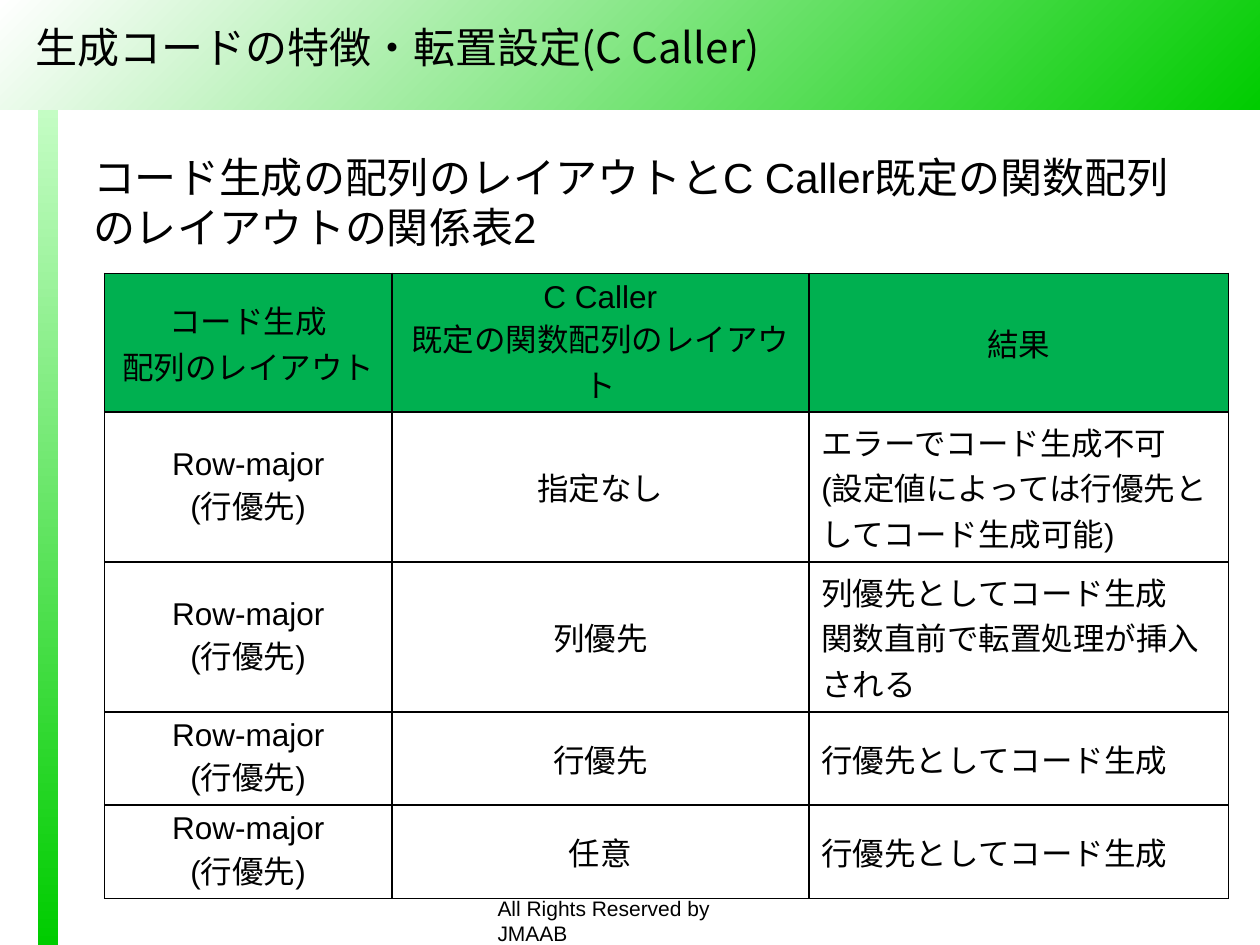
from lxml import etree
from pptx import Presentation
from pptx.dml.color import RGBColor
from pptx.enum.shapes import MSO_SHAPE
from pptx.enum.text import MSO_ANCHOR, PP_ALIGN
from pptx.oxml.ns import qn
from pptx.util import Inches, Pt

RECT = MSO_SHAPE.RECTANGLE
TOP, MIDDLE = MSO_ANCHOR.TOP, MSO_ANCHOR.MIDDLE
LEFT, CENTER = PP_ALIGN.LEFT, PP_ALIGN.CENTER
LATIN, CJK = "Arial", "Noto Sans CJK JP"
COLORS = {"text": "000000", "white": "FFFFFF", "pale": "CCFFCC",
          "green": "00CC00", "header": "00B050"}


def write(tf, text, size=18, font=LATIN, align=LEFT, anchor=TOP):
    """Fill a text frame, one paragraph per line of text."""
    tf.word_wrap = True
    tf.vertical_anchor = anchor
    for i, line in enumerate(text.split("\n")):
        p = tf.paragraphs[0] if i == 0 else tf.add_paragraph()
        p.alignment = align
        r = p.add_run()
        r.text = line
        r.font.size = Pt(size)
        r.font.name = font
        r.font.color.rgb = RGBColor.from_string(COLORS["text"])
        etree.SubElement(r.font._element, qn("a:ea"), typeface=CJK)


def add_border(cell):
    """Draw a 1 pt line on all four sides of a cell."""
    tc_pr = cell._tc.get_or_add_tcPr()
    for i, side in enumerate(("a:lnL", "a:lnR", "a:lnT", "a:lnB")):
        ln = etree.Element(qn(side), w=str(Pt(1)))
        fill = etree.SubElement(ln, qn("a:solidFill"))
        etree.SubElement(fill, qn("a:srgbClr"), val=COLORS["text"])
        tc_pr.insert(i, ln)


prs = Presentation()
prs.slide_width, prs.slide_height = Inches(10), Inches(7.5)
s = prs.slides.add_slide(prs.slide_layouts[6])

# Gradient bands: side bar, then header (python-pptx angles run anticlockwise)
bands = [
    ((0.3, 0.6, 0.16, 6.9), "pale", 270),
    ((0, 0, 10, 0.87), "white", 315),
]
for box, start, angle in bands:
    sp = s.shapes.add_shape(RECT, *map(Inches, box))
    sp.shadow.inherit = False
    sp.line.fill.background()
    sp.fill.gradient()
    sp.fill.gradient_angle = angle
    for stop, color, position in zip(sp.fill.gradient_stops, (start, "green"), (0, 1)):
        stop.color.rgb = RGBColor.from_string(COLORS[color])
        stop.position = position

# Footer, title and heading
texts = [
    ((3.85, 7.06, 2.48, 0.3), "All Rights Reserved by JMAAB", {"size": 12}),
    ((0.18, 0.14, 7.15, 0.46), "生成コードの特徴・転置設定(C Caller)",
     {"size": 24, "font": CJK, "anchor": MIDDLE}),
    ((0.64, 1.15, 9, 0.9),
     "コード生成の配列のレイアウトとC Caller既定の関数配列のレイアウトの関係表2",
     {"size": 24}),
]
for box, text, style in texts:
    write(s.shapes.add_textbox(*map(Inches, box)).text_frame, text, **style)

# Layout table
ROW_MAJOR = "Row-major\n(行優先)"
rows = [
    ("コード生成\n配列のレイアウト", "C Caller\n既定の関数配列のレイアウト", "結果"),
    (ROW_MAJOR, "指定なし",
     "エラーでコード生成不可\n(設定値によっては行優先としてコード生成可能)"),
    (ROW_MAJOR, "列優先", "列優先としてコード生成\n関数直前で転置処理が挿入される"),
    (ROW_MAJOR, "行優先", "行優先としてコード生成"),
    (ROW_MAJOR, "任意", "行優先としてコード生成"),
]
col_widths = [2.28, 3.31, 3.33]
row_heights = [1.1, 1.19, 1.19, 0.74, 0.74]
table = s.shapes.add_table(
    len(rows), len(col_widths), Inches(0.83), Inches(2.17),
    Inches(sum(col_widths)), Inches(sum(row_heights))).table
for col, width in zip(table.columns, col_widths):
    col.width = Inches(width)
for row, height in zip(table.rows, row_heights):
    row.height = Inches(height)
for i, row in enumerate(rows):
    for j, text in enumerate(row):
        cell = table.cell(i, j)
        cell.fill.solid()
        cell.fill.fore_color.rgb = RGBColor.from_string(
            COLORS["white" if i else "header"])
        add_border(cell)
        write(cell.text_frame, text, align=LEFT if i and j == 2 else CENTER)
        cell.vertical_anchor = MIDDLE

prs.save("out.pptx")
